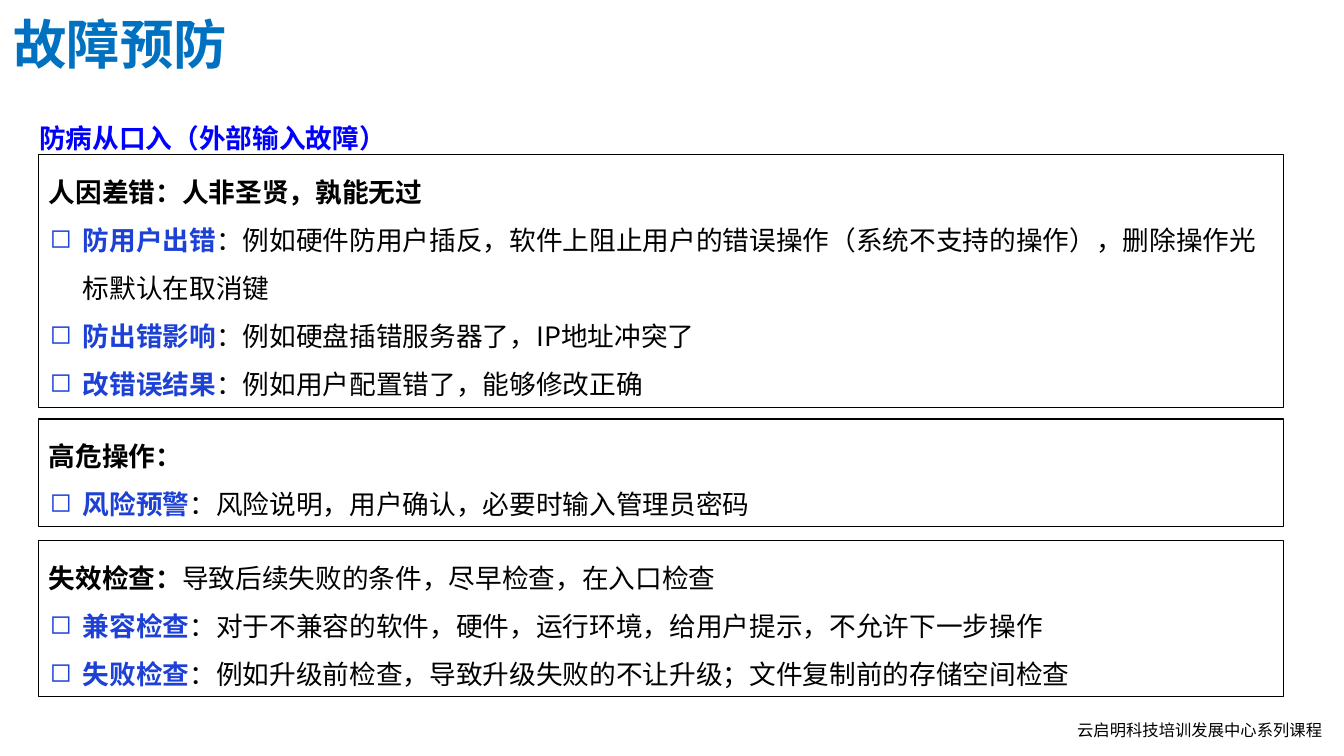
from dataclasses import dataclass

from lxml.etree import SubElement
from pptx import Presentation
from pptx.dml.color import RGBColor as Rgb
from pptx.enum.shapes import MSO_SHAPE as Shape
from pptx.enum.text import MSO_ANCHOR as Anchor
from pptx.oxml.ns import qn
from pptx.util import Pt


@dataclass(frozen=True)
class Theme:
    font: str = "Noto Sans CJK SC"
    black: Rgb = Rgb(0x00, 0x00, 0x00)
    title: Rgb = Rgb(0x00, 0x70, 0xC0)
    heading: Rgb = Rgb(0x00, 0x00, 0xFF)
    key: Rgb = Rgb(0x1D, 0x41, 0xD5)
    title_size: float = 36
    body_size: float = 18
    footer_size: float = 11
    line_pitch: float = 32.4


@dataclass(frozen=True)
class Span:
    text: str
    color: Rgb
    size: float = 18
    bold: bool = False


@dataclass(frozen=True)
class Label:
    left: float
    top: float
    width: float
    height: float
    span: Span
    wrap: bool = True
    body: bool = False


@dataclass(frozen=True)
class Panel:
    top: float
    height: float
    lead: str
    remark: str
    points: tuple[tuple[str, str], ...]


THEME = Theme()
PANEL_LEFT, PANEL_WIDTH = 25.92, 840.24
BULLET_MARGIN, BULLET_HANG = 23.04, 22.32
TAB_STOP = 14.4

LABELS = (
    Label(720, 482.4, 181.44, 20.88,
          Span("云启明科技培训发展中心系列课程", THEME.black, THEME.footer_size), wrap=False),
    Label(2.16, 3.6, 357.12, 51.12,
          Span("故障预防", THEME.title, THEME.title_size, True)),
    Label(19.44, 67.68, PANEL_WIDTH, 39.6,
          Span("防病从口入（外部输入故障）", THEME.heading, THEME.body_size, True), body=True),
)

PANELS = (
    Panel(104.4, 170.64, "人因差错：人非圣贤，孰能无过", "", (
        ("防用户出错", "：例如硬件防用户插反，软件上阻止用户的错误操作（系统不支持的操作），"
                  "删除操作光标默认在取消键"),
        ("防出错影响", "：例如硬盘插错服务器了，IP地址冲突了"),
        ("改错误结果", "：例如用户配置错了，能够修改正确"),
    )),
    Panel(282.96, 72.72, "高危操作：", "", (
        ("风险预警", "：风险说明，用户确认，必要时输入管理员密码"),
    )),
    Panel(365.04, 105.12, "失效检查：", "导致后续失败的条件，尽早检查，在入口检查", (
        ("兼容检查", "：对于不兼容的软件，硬件，运行环境，给用户提示，不允许下一步操作"),
        ("失败检查", "：例如升级前检查，导致升级失败的不让升级；文件复制前的存储空间检查"),
    )),
)


def add_span(para, span: Span) -> None:
    run = para.add_run()
    run.text = span.text
    run.font.name = THEME.font
    run.font.size = Pt(span.size)
    run.font.bold = span.bold
    run.font.color.rgb = span.color
    # East Asian characters take their own typeface entry
    SubElement(run.font._element, qn("a:ea"), typeface=THEME.font)


def format_body(para, bullet: bool = False) -> None:
    props = para._p.get_or_add_pPr()
    if bullet:
        props.set("marL", str(Pt(BULLET_MARGIN)))
        props.set("indent", str(-Pt(BULLET_HANG)))
        SubElement(props, qn("a:buChar"), char="◻")
    tabs = SubElement(props, qn("a:tabLst"))
    SubElement(tabs, qn("a:tab"), pos=str(Pt(TAB_STOP)), algn="l")
    para.line_spacing = Pt(THEME.line_pitch)


def add_label(page, label: Label) -> None:
    box = page.shapes.add_textbox(Pt(label.left), Pt(label.top),
                                  Pt(label.width), Pt(label.height))
    frame = box.text_frame
    frame.word_wrap = label.wrap
    frame.vertical_anchor = Anchor.TOP if label.body else Anchor.MIDDLE
    para = frame.paragraphs[0]
    if label.body:
        format_body(para)
    add_span(para, label.span)


def add_panel(page, panel: Panel) -> None:
    box = page.shapes.add_shape(Shape.RECTANGLE, Pt(PANEL_LEFT), Pt(panel.top),
                                Pt(PANEL_WIDTH), Pt(panel.height))
    box.shadow.inherit = False
    box.fill.background()
    box.line.color.rgb = THEME.black
    box.line.width = Pt(0.75)
    frame = box.text_frame
    frame.word_wrap = True
    frame.vertical_anchor = Anchor.TOP

    # Lead line, then the bulleted points
    rows = [(Span(panel.lead, THEME.black, THEME.body_size, True), panel.remark)]
    rows += [(Span(key, THEME.key, THEME.body_size, True), text)
             for key, text in panel.points]
    for index, (head, text) in enumerate(rows):
        para = frame.add_paragraph() if index else frame.paragraphs[0]
        format_body(para, bullet=index > 0)
        para.alignment = 1  # left
        add_span(para, head)
        if text:
            add_span(para, Span(text, THEME.black, THEME.body_size))


def main() -> None:
    deck = Presentation()
    deck.slide_width, deck.slide_height = Pt(907.2), Pt(510.48)
    page = deck.slides.add_slide(deck.slide_layouts[6])

    # Footer, title and heading
    for label in LABELS:
        add_label(page, label)

    # Framed panels
    for panel in PANELS:
        add_panel(page, panel)

    deck.save("out.pptx")


if __name__ == "__main__":
    main()
